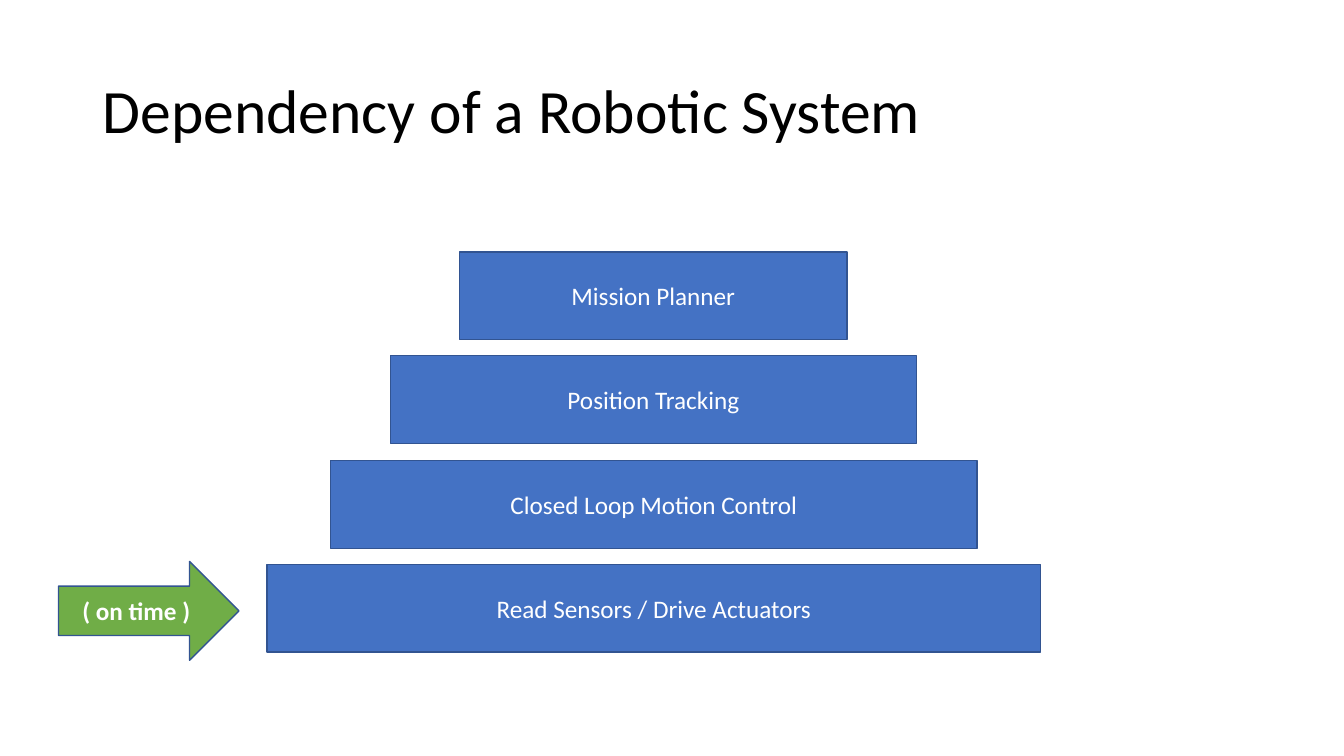
from dataclasses import dataclass

import pptx
import pptx.dml.color
import pptx.enum.shapes
import pptx.enum.text
import pptx.shapes.autoshape
import pptx.slide
import pptx.util

PX = 9144  # EMU: 100 px to the inch
FONT = "Calibri"
COLORS = {
    "layer": "4472C4",
    "arrow": "70AD47",
    "outline": "325491",
    "label": "FFFFFF",
    "title": "000000",
}
SHAPES = pptx.enum.shapes.MSO_SHAPE
ALIGN = pptx.enum.text.PP_ALIGN

PYRAMID_CENTER = 648
PYRAMID_TOP = 250
PYRAMID_BOTTOM = 647
LAYER_HEIGHT = 87


@dataclass(frozen=True)
class Layer:
    label: str
    width: int


@dataclass(frozen=True)
class Box:
    left: int
    top: int
    width: int
    height: int

    def emu(self) -> tuple[int, int, int, int]:
        return self.left * PX, self.top * PX, self.width * PX, self.height * PX


LAYERS = [
    Layer("Mission Planner", 384),
    Layer("Position Tracking", 522),
    Layer("Closed Loop Motion Control", 641),
    Layer("Read Sensors / Drive Actuators", 767),
]


def rgb(name: str) -> pptx.dml.color.RGBColor:
    return pptx.dml.color.RGBColor.from_string(COLORS[name])


def write(shape: pptx.shapes.autoshape.Shape, text: str, size: int, color: str,
          align: ALIGN, bold: bool = False) -> None:
    """Set one vertically centred paragraph in the shape."""
    frame = shape.text_frame
    frame.text = text
    frame.word_wrap = True
    frame.vertical_anchor = pptx.enum.text.MSO_ANCHOR.MIDDLE
    paragraph = frame.paragraphs[0]
    paragraph.alignment = align
    font = paragraph.runs[0].font
    font.name = FONT
    font.size = pptx.util.Pt(size)
    font.bold = bold
    font.color.rgb = rgb(color)


def add_block(slide: pptx.slide.Slide, kind: SHAPES, box: Box, fill: str,
              label: str, bold: bool = False) -> None:
    """Draw an outlined shape with a white centred label."""
    block = slide.shapes.add_shape(kind, *box.emu())
    block.shadow.inherit = False
    block.fill.solid()
    block.fill.fore_color.rgb = rgb(fill)
    block.line.color.rgb = rgb("outline")
    block.line.width = pptx.util.Pt(1)
    write(block, label, 18, "label", ALIGN.CENTER, bold)


def add_title(slide: pptx.slide.Slide, text: str) -> None:
    title = slide.shapes.add_textbox(*Box(92, 40, 1150, 145).emu())
    write(title, text, 44, "title", ALIGN.LEFT)
    title.text_frame.paragraphs[0].line_spacing = 0.9


def add_pyramid(slide: pptx.slide.Slide) -> None:
    """Stack the layers at equal steps around one centre line."""
    step = (PYRAMID_BOTTOM - LAYER_HEIGHT - PYRAMID_TOP) / (len(LAYERS) - 1)
    for row, layer in enumerate(LAYERS):
        box = Box(PYRAMID_CENTER - layer.width // 2,
                  PYRAMID_TOP + round(row * step), layer.width, LAYER_HEIGHT)
        add_block(slide, SHAPES.RECTANGLE, box, "layer", layer.label)


def main() -> None:
    presentation = pptx.Presentation()
    presentation.slide_width = 1333 * PX
    presentation.slide_height = 750 * PX
    slide = presentation.slides.add_slide(presentation.slide_layouts[6])
    add_title(slide, "Dependency of a Robotic System")
    add_pyramid(slide)
    add_block(slide, SHAPES.RIGHT_ARROW, Box(58, 557, 179, 98), "arrow",
              "( on time )", bold=True)
    presentation.save("out.pptx")


if __name__ == "__main__":
    main()
